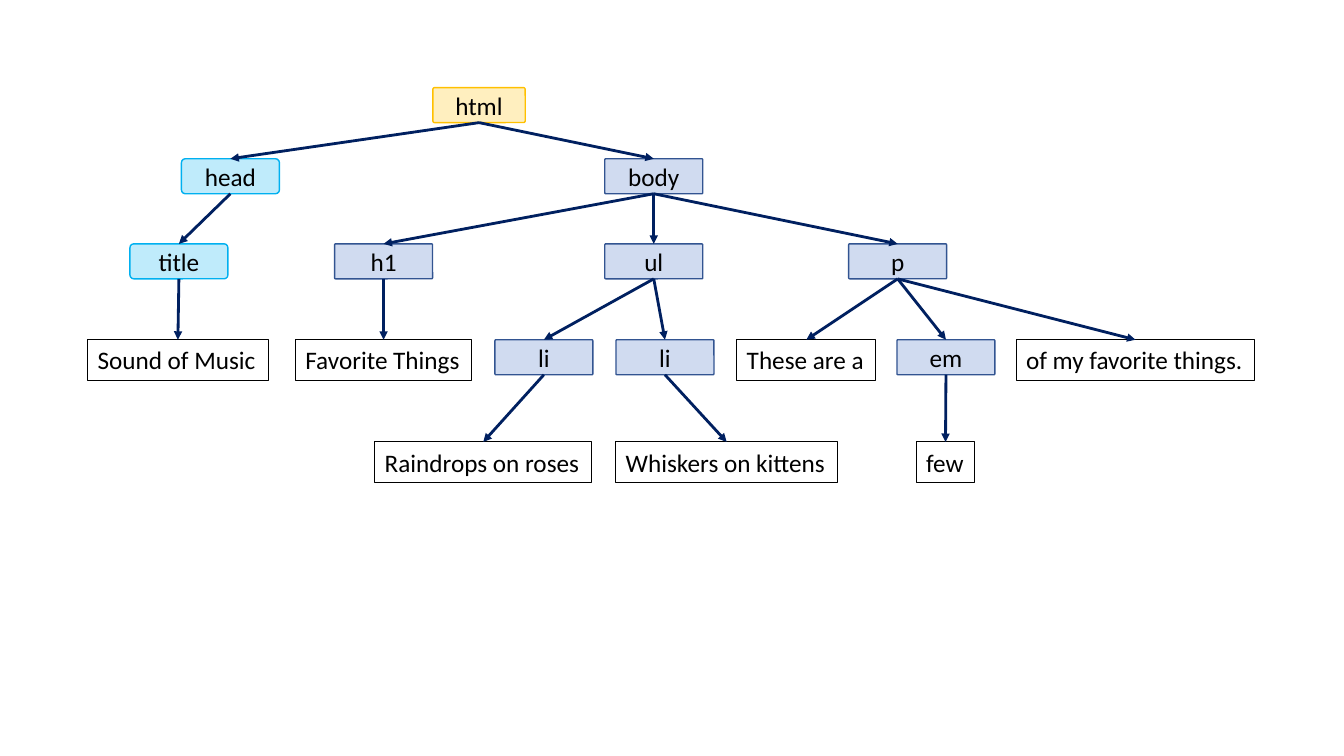
"""Build a slide with the element tree of a small HTML page."""
from lxml import etree
from pptx import Presentation
from pptx.dml.color import RGBColor
from pptx.enum import shapes, text
from pptx.oxml.ns import qn
from pptx.util import Pt

BLACK = RGBColor(0x00, 0x00, 0x00)
NAVY = RGBColor(0x00, 0x20, 0x60)
GOLD = RGBColor(0xFF, 0xC0, 0x00)
SKY = RGBColor(0x00, 0xB0, 0xF0)
BLUE = RGBColor(0x44, 0x72, 0xC4)
DARK_BLUE = RGBColor(0x32, 0x54, 0x91)

# label, kind, centre, width, children
TREE = ("html", "root", 342.2, 66, [
    ("head", "head", 164.6, 70, [
        ("title", "head", 127.8, 70, [
            ("Sound of Music", "content", 127.1, 129, []),
        ]),
    ]),
    ("body", "body", 467, 70, [
        ("h1", "body", 274, 70, [
            ("Favorite Things", "content", 274, 126, []),
        ]),
        ("ul", "body", 467, 70, [
            ("li", "body", 388.5, 70, [
                ("Raindrops on roses", "content", 345.2, 155, []),
            ]),
            ("li", "body", 475, 70, [
                ("Whiskers on kittens", "content", 519.1, 158.4, []),
            ]),
        ]),
        ("p", "body", 641.2, 70, [
            ("These are a", "content", 576, 99.4, []),
            ("em", "body", 675.7, 70, [
                ("few", "content", 675.4, 41.8, []),
            ]),
            ("of my favorite things.", "content", 811.1, 170.6, []),
        ]),
    ]),
])
LEVEL_TOPS = [62.6, 113.4, 174.2, 242.7, 315.7]
ELEMENT_HEIGHT, CONTENT_HEIGHT = 25, 29.1
ELEMENT_STYLES = {
    "root": (GOLD, GOLD, 0.05),
    "head": (SKY, SKY, 0.11),
    "body": (BLUE, DARK_BLUE, 0.03),
}
ELEMENT_FRAME = {"vertical_anchor": text.MSO_ANCHOR.MIDDLE, "word_wrap": True}
CONTENT_FRAME = {"word_wrap": False, "auto_size": text.MSO_AUTO_SIZE.SHAPE_TO_FIT_TEXT}
LABEL_FONT = {"size": Pt(18), "name": "Calibri"}


def apply(target, values):
    for name, value in values.items():
        setattr(target, name, value)


def outline(line, color, width):
    line.color.rgb = color
    line.width = Pt(width)


def write(node, label, frame_values, alignment):
    frame = node.text_frame
    apply(frame, frame_values)
    paragraph = frame.paragraphs[0]
    paragraph.alignment = alignment
    run = paragraph.add_run()
    run.text = label
    apply(run.font, LABEL_FONT)
    run.font.color.rgb = BLACK


def add_content(slide, label, box):
    node = slide.shapes.add_textbox(*box)
    outline(node.line, BLACK, 0.75)
    write(node, label, CONTENT_FRAME, text.PP_ALIGN.LEFT)
    return node


def add_element(slide, label, kind, box):
    tint, edge, rounding = ELEMENT_STYLES[kind]
    node = slide.shapes.add_shape(shapes.MSO_SHAPE.ROUNDED_RECTANGLE, *box)
    node.adjustments[0] = rounding
    node.shadow.inherit = False
    node.fill.solid()
    node.fill.fore_color.rgb = tint
    color = node._element.spPr.find(qn("a:solidFill")).find(qn("a:srgbClr"))
    etree.SubElement(color, qn("a:alpha"), val="25000")
    outline(node.line, edge, 1)
    write(node, label, ELEMENT_FRAME, text.PP_ALIGN.CENTER)
    return node


def add_arrow(slide, parent, child):
    arrow = slide.shapes.add_connector(shapes.MSO_CONNECTOR.STRAIGHT, 0, 0, 0, 0)
    arrow.begin_connect(parent, 2)
    arrow.end_connect(child, 0)
    outline(arrow.line, NAVY, 2)
    properties = arrow._element.spPr
    etree.SubElement(properties.find(qn("a:ln")), qn("a:tailEnd"), type="triangle")
    etree.SubElement(properties, qn("a:effectLst"))


def add_branch(slide, branch, level=0):
    label, kind, centre, width, children = branch
    height = CONTENT_HEIGHT if kind == "content" else ELEMENT_HEIGHT
    box = [Pt(v) for v in (centre - width / 2, LEVEL_TOPS[level], width, height)]
    if kind == "content":
        node = add_content(slide, label, box)
    else:
        node = add_element(slide, label, kind, box)
    for child in children:
        add_arrow(slide, node, add_branch(slide, child, level + 1))
    return node


deck = Presentation()
deck.slide_width, deck.slide_height = Pt(960), Pt(540)
add_branch(deck.slides.add_slide(deck.slide_layouts[6]), TREE)
deck.save("out.pptx")
